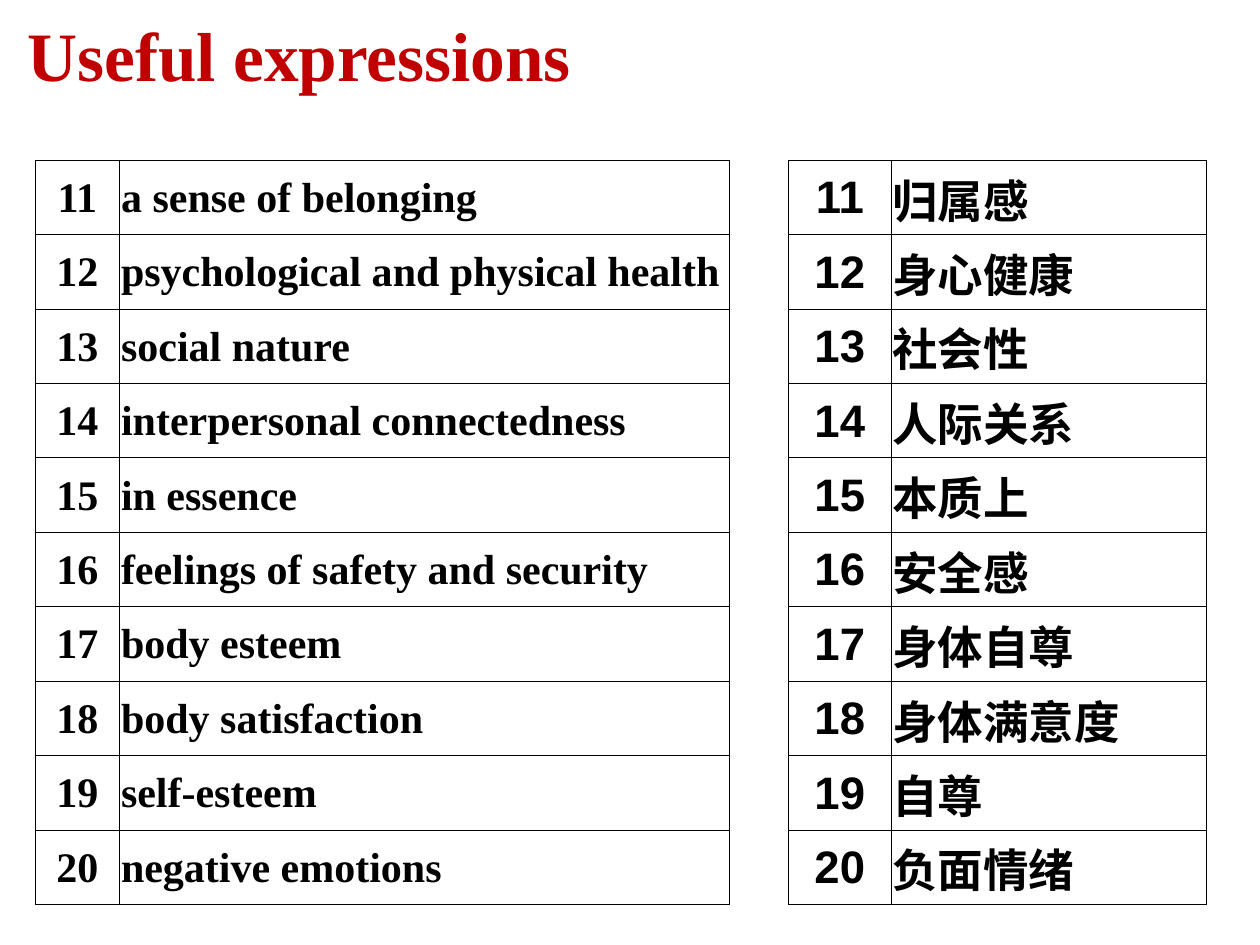
from lxml.etree import SubElement
from pptx import Presentation
from pptx.dml.color import RGBColor
from pptx.enum.lang import MSO_LANGUAGE_ID as Language
from pptx.enum.text import MSO_ANCHOR, MSO_AUTO_SIZE, PP_ALIGN
from pptx.oxml.ns import qn
from pptx.util import Cm, Pt

COLORS = {"title": "C00000", "text": "000000", "border": "000000", "cell": "FFFFFF"}
FIRST_NUMBER = 11
ROW_HEIGHT = Cm(1.5)
TABLE_TOP = Cm(3.23)

TABLES = [
    {
        "left": Cm(0.71), "widths": [Cm(1.7), Cm(12.29)],
        "font": "Times New Roman", "size": Pt(24),
        "language": Language.ENGLISH_US, "filled": True,
        "expressions": [
            "a sense of belonging", "psychological and physical health",
            "social nature", "interpersonal connectedness", "in essence",
            "feelings of safety and security", "body esteem",
            "body satisfaction", "self-esteem", "negative emotions",
        ],
    },
    {
        "left": Cm(15.9), "widths": [Cm(2.06), Cm(6.35)],
        "font": "Arial", "size": Pt(26),
        "language": Language.SIMPLIFIED_CHINESE, "filled": False,
        "expressions": [
            "归属感", "身心健康", "社会性", "人际关系", "本质上",
            "安全感", "身体自尊", "身体满意度", "自尊", "负面情绪",
        ],
    },
]


def format_font(font, color, **values):
    for name, value in values.items():
        setattr(font, name, value)
    font.color.rgb = RGBColor.from_string(color)


def add_borders(cell):
    properties = cell._tc.get_or_add_tcPr()
    for side in ("a:lnL", "a:lnR", "a:lnT", "a:lnB"):
        line = SubElement(properties, qn(side), w=str(Pt(0.5)))
        fill = SubElement(line, qn("a:solidFill"))
        SubElement(fill, qn("a:srgbClr"), val=COLORS["border"])


presentation = Presentation()
presentation.slide_width = Cm(25.4)
presentation.slide_height = Cm(19.05)
slide = presentation.slides.add_slide(presentation.slide_layouts[5])

title = slide.shapes.title
title_box = {"left": Cm(0.3), "top": Cm(0.2), "width": Cm(22.86), "height": Cm(1.75)}
for name, value in title_box.items():
    setattr(title, name, value)
title_frame = title.text_frame
title_frame.text = "Useful expressions"
title_frame.auto_size = MSO_AUTO_SIZE.NONE
title_frame.vertical_anchor = MSO_ANCHOR.MIDDLE
title_paragraph = title_frame.paragraphs[0]
title_paragraph.alignment = PP_ALIGN.LEFT
format_font(title_paragraph.runs[0].font, COLORS["title"],
            name="Times New Roman", size=Pt(39.6), bold=True)

cell_format = {
    "margin_left": Cm(0.03), "margin_right": Cm(0.03),
    "margin_top": Cm(0.03), "margin_bottom": 0,
    "vertical_anchor": MSO_ANCHOR.MIDDLE,
}
for data in TABLES:
    expressions = data["expressions"]
    table = slide.shapes.add_table(
        len(expressions), 2, data["left"], TABLE_TOP,
        sum(data["widths"]), ROW_HEIGHT * len(expressions)).table
    table.first_row = False
    table.horz_banding = False
    for column, width in zip(table.columns, data["widths"]):
        column.width = width

    for row, expression in enumerate(expressions):
        table.rows[row].height = ROW_HEIGHT
        for column, text in enumerate((str(FIRST_NUMBER + row), expression)):
            cell = table.cell(row, column)
            for name, value in cell_format.items():
                setattr(cell, name, value)
            add_borders(cell)
            if column == 0 or data["filled"]:
                cell.fill.solid()
                cell.fill.fore_color.rgb = RGBColor.from_string(COLORS["cell"])
            else:
                cell.fill.background()
            cell.text = text
            paragraph = cell.text_frame.paragraphs[0]
            paragraph.alignment = PP_ALIGN.LEFT if column else PP_ALIGN.CENTER
            format_font(paragraph.runs[0].font, COLORS["text"],
                        name=data["font"], size=data["size"], bold=True,
                        language_id=data["language"])

presentation.save("out.pptx")
